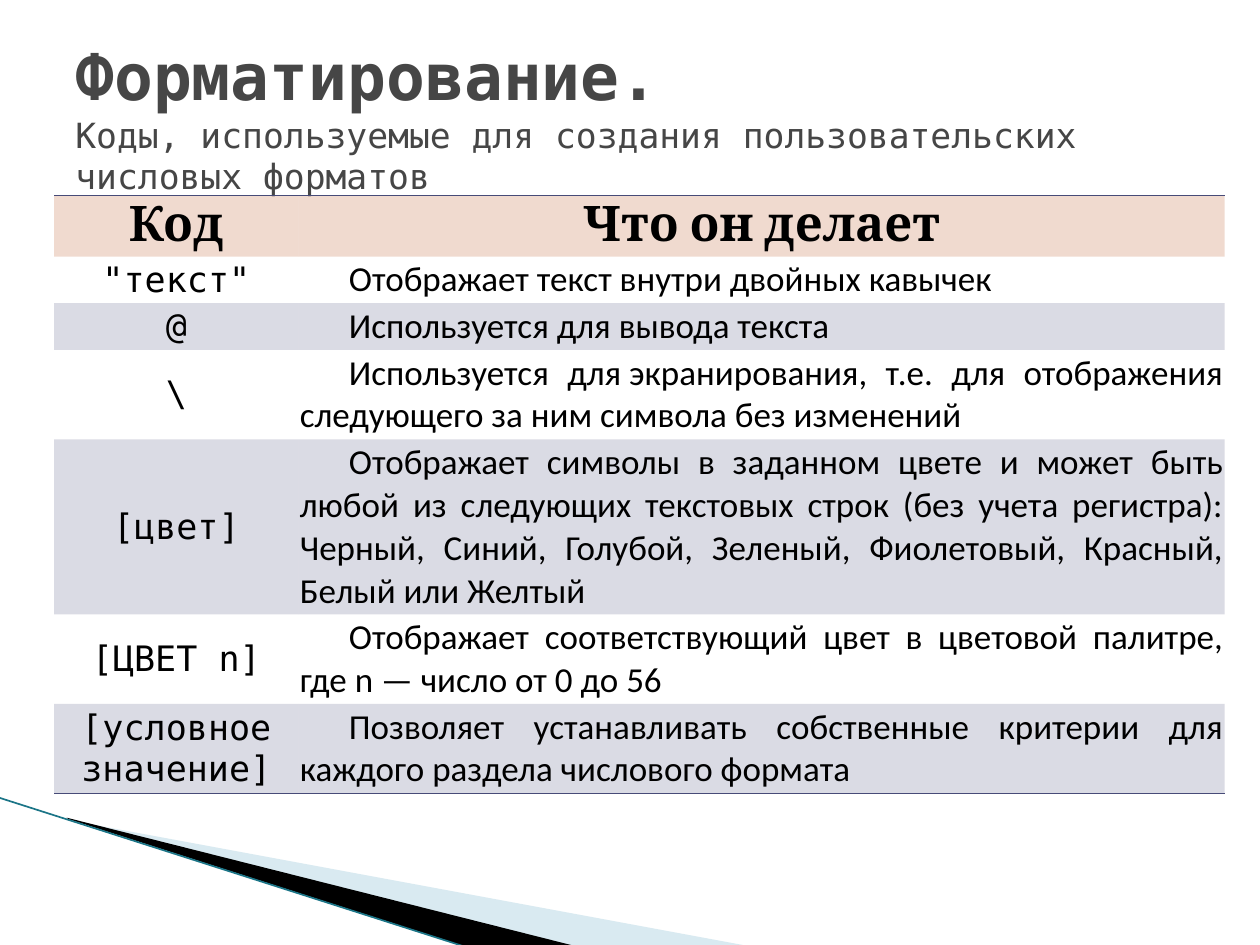
"""Build a slide listing the codes of custom number formats."""
import pptx
import pptx.dml.color
import pptx.enum.shapes
import pptx.enum.text
import pptx.oxml
import pptx.oxml.ns
import pptx.util

RGB = pptx.dml.color.RGBColor
ALIGN = pptx.enum.text.PP_ALIGN
MIDDLE = pptx.enum.text.MSO_ANCHOR.MIDDLE

BLACK = RGB(0x00, 0x00, 0x00)
TITLE_GREY = RGB(0x46, 0x46, 0x46)
RUST = RGB(0xB5, 0x4A, 0x10)
INDIGO = RGB(0x47, 0x4B, 0x78)
PALE_BLUE = RGB(0xA0, 0xCB, 0xDC)
TEAL = RGB(0x1B, 0x75, 0x87)

SLIDE_WIDTH, SLIDE_HEIGHT = pptx.util.Inches(10), pptx.util.Inches(7.5)
GRID_COLUMNS = 1000
UNIT = SLIDE_WIDTH // GRID_COLUMNS
TINT = 20
NO_GRID_STYLE = "{2D5ABB26-0587-4C30-8999-92F81FD0307C}"

HEADING = {"name": "Cambria", "size": pptx.util.Pt(28), "bold": True}
CODE = {"name": "DejaVu Sans Mono", "size": pptx.util.Pt(20), "bold": False}
MEANING = {**CODE, "name": "Calibri"}
TITLE = {**CODE, "size": pptx.util.Pt(36.9), "bold": True}
SUBTITLE = {**CODE, "size": pptx.util.Pt(19.8)}

COLUMN_WIDTHS = (194, 735)
ROW_HEIGHTS = (47, 37, 37, 71, 139, 71, 71)
HEADINGS = ("Код", "Что он делает")
CODES = (
    ('"текст"', "Отображает текст внутри двойных кавычек"),
    ("@", "Используется для вывода текста"),
    ("\\", "Используется для\u00a0экранирования, т.е. для отображения "
           "следующего за ним символа без изменений"),
    ("[цвет]", "Отображает символы в заданном цвете и может быть любой из "
               "следующих текстовых строк (без учета регистра): Черный, Синий, "
               "Голубой, Зеленый, Фиолетовый, Красный, Белый или Желтый"),
    ("[ЦВЕТ n]", "Отображает соответствующий цвет в цветовой палитре, "
                 "где n — число от 0 до 56"),
    ("[условное значение]", "Позволяет устанавливать собственные критерии "
                            "для каждого раздела числового формата"),
)


def grid(*counts):
    """Turn counts of grid units into lengths."""
    return [pptx.util.Emu(UNIT * count) for count in counts]


def apply_format(target, values):
    """Set each attribute named in the values."""
    for name, value in values.items():
        setattr(target, name, value)


def paint(fill, parent, color, opacity=100):
    """Give a solid fill, see-through if the opacity is below 100."""
    fill.solid()
    fill.fore_color.rgb = color
    if opacity < 100:
        rgb = parent.find(pptx.oxml.ns.qn("a:solidFill"))[0]
        alpha = pptx.oxml.parse_xml(
            f'<a:alpha {pptx.oxml.ns.nsdecls("a")} val="{opacity * 1000}"/>')
        rgb.append(alpha)


def add_run(paragraph, text, font_format, color):
    """Append formatted text to a paragraph."""
    run = paragraph.add_run()
    run.text = text
    apply_format(run.font, font_format)
    run.font.color.rgb = color


def add_wedge(slide, points, color, opacity=100):
    """Draw one of the sharp wedges in the lower corner."""
    builder = slide.shapes.build_freeform(*points[0], scale=UNIT)
    builder.add_line_segments(points[1:], close=True)
    wedge = builder.convert_to_shape()
    wedge.shadow.inherit = False
    wedge.line.fill.background()
    paint(wedge.fill, wedge.element.spPr, color, opacity)


def add_edge(slide, start, end):
    """Draw the thin line along the wedges."""
    edge = slide.shapes.add_connector(
        pptx.enum.shapes.MSO_CONNECTOR.STRAIGHT, *grid(*start, *end))
    edge.line.color.rgb = TEAL
    edge.line.width = pptx.util.Pt(0.95)
    edge.element.spPr.append(pptx.oxml.parse_xml(
        f'<a:effectLst {pptx.oxml.ns.nsdecls("a")}/>'))


def add_title(slide):
    """Write the title and the subtitle below it."""
    frame = slide.shapes.add_textbox(*grid(50, 30, 900, 125)).text_frame
    apply_format(frame, {"word_wrap": True, "vertical_anchor": MIDDLE})
    heading = frame.paragraphs[0]
    add_run(heading, "Форматирование.", TITLE, TITLE_GREY)
    heading.add_line_break()
    add_run(heading, "Коды, используемые для создания пользовательских "
                     "числовых форматов", SUBTITLE, TITLE_GREY)
    heading.space_after = pptx.util.Pt(23)


def add_border(cell, side):
    """Rule one side of a cell."""
    cell._tc.get_or_add_tcPr().insert(0, pptx.oxml.parse_xml(
        f'<a:{side} {pptx.oxml.ns.nsdecls("a")} w="12700"><a:solidFill>'
        f'<a:srgbClr val="{INDIGO}"/></a:solidFill></a:{side}>'))


def fill_cell(cell, text, font_format, band):
    """Write a cell's text and tint its band."""
    margins = dict.fromkeys(
        ("margin_left", "margin_right", "margin_top", "margin_bottom"), grid(1)[0])
    apply_format(cell, {**margins, "vertical_anchor": MIDDLE})
    paragraph = cell.text_frame.paragraphs[0]
    paragraph.alignment = ALIGN.CENTER
    if font_format is MEANING:
        paragraph.alignment = ALIGN.JUSTIFY
        paragraph._p.get_or_add_pPr().set("indent", str(grid(39)[0]))
    add_run(paragraph, text, font_format, BLACK)
    if band is None:
        cell.fill.background()
    else:
        paint(cell.fill, cell._tc.get_or_add_tcPr(), band, TINT)


def add_code_table(slide):
    """Lay out the codes and their meanings."""
    place = grid(43, 155, sum(COLUMN_WIDTHS), sum(ROW_HEIGHTS))
    table = slide.shapes.add_table(
        len(ROW_HEIGHTS), len(COLUMN_WIDTHS), *place).table
    apply_format(table, {"first_row": False, "horz_banding": False})
    table._tbl.tblPr.find(pptx.oxml.ns.qn("a:tableStyleId")).text = NO_GRID_STYLE
    for column, width in zip(table.columns, grid(*COLUMN_WIDTHS)):
        column.width = width
    for row, height in zip(table.rows, grid(*ROW_HEIGHTS)):
        row.height = height
    for number, texts in enumerate((HEADINGS, *CODES)):
        formats = (CODE, MEANING) if number else (HEADING, HEADING)
        band = (None if number % 2 else INDIGO) if number else RUST
        for column, text in enumerate(texts):
            cell = table.cell(number, column)
            fill_cell(cell, text, formats[column], band)
            if number == 0:
                add_border(cell, "lnT")
            elif number == len(CODES):
                add_border(cell, "lnB")


def main():
    """Build and save the slide."""
    deck = pptx.Presentation()
    apply_format(deck, {"slide_width": SLIDE_WIDTH, "slide_height": SLIDE_HEIGHT})
    slide = deck.slides.add_slide(deck.slide_layouts[6])
    add_wedge(slide, [(55, 651), (595, 751), (456, 751), (55, 650)], PALE_BLUE, 40)
    add_wedge(slide, [(53, 649), (457, 751), (372, 752), (54, 650)], BLACK)
    add_edge(slide, (-1, 633), (371, 752))
    add_title(slide)
    add_code_table(slide)
    deck.save("out.pptx")


main()
